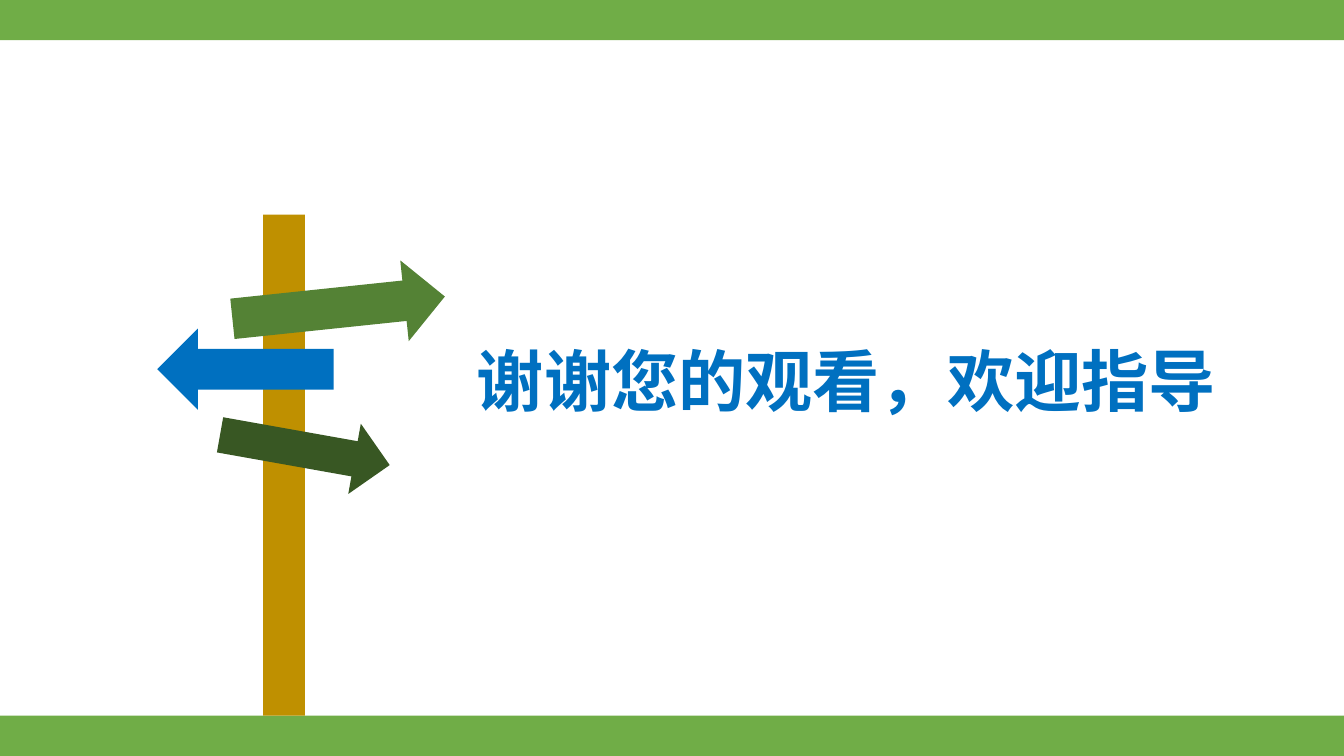
import pptx
import pptx.util
import pptx.dml.color
import pptx.enum.shapes
import pptx.enum.text
import lxml.etree

Pt = pptx.util.Pt
SHAPES = pptx.enum.shapes.MSO_SHAPE
FONT = "Noto Sans CJK SC"
COLOURS = {
    "band": "70AD47",
    "post": "BF9000",
    "upper sign": "548235",
    "blue": "0070C0",
    "lower sign": "385723",
}
WIDTH, HEIGHT, BAND = 960, 540, 28.8


def colour(name):
    return pptx.dml.color.RGBColor.from_string(COLOURS[name])


deck = pptx.Presentation()
deck.slide_width, deck.slide_height = Pt(WIDTH), Pt(HEIGHT)
page = deck.slides.add_slide(deck.slide_layouts[5])

# Green bands, post and signs: preset, colour, left, top, width, height, rotation
parts = [
    (SHAPES.RECTANGLE, "band", 0, 0, WIDTH, BAND, 0),
    (SHAPES.RECTANGLE, "band", 0, HEIGHT - BAND, WIDTH, BAND, 0),
    (SHAPES.RECTANGLE, "post", 187.9, 153.4, 30, 357.8, 0),
    (SHAPES.RIGHT_ARROW, "upper sign", 165.6, 190.8, 152.6, 58, 354),
    (SHAPES.RIGHT_ARROW, "blue", 112.3, 234.7, 126, 58, 180),
    (SHAPES.RIGHT_ARROW, "lower sign", 156.2, 295.9, 123.1, 51, 10.1),
]
for preset, name, left, top, width, height, rotation in parts:
    shape = page.shapes.add_shape(preset, Pt(left), Pt(top), Pt(width), Pt(height))
    shape.rotation = rotation
    shape.shadow.inherit = False
    shape.fill.solid()
    shape.fill.fore_color.rgb = colour(name)
    shape.line.fill.background()

# Closing message
title = page.shapes.title
place = {"left": 333.4, "top": 239, "width": 547.9, "height": 65.5}
for key, value in place.items():
    setattr(title, key, Pt(value))
frame = title.text_frame
frame_format = {
    "word_wrap": False,
    "auto_size": pptx.enum.text.MSO_AUTO_SIZE.SHAPE_TO_FIT_TEXT,
    "vertical_anchor": pptx.enum.text.MSO_ANCHOR.TOP,
}
for key, value in frame_format.items():
    setattr(frame, key, value)
para = frame.paragraphs[0]
para.alignment = pptx.enum.text.PP_ALIGN.LEFT
span = para.add_run()
span.text = "谢谢您的观看，欢迎指导"
for key, value in {"size": Pt(48), "bold": True, "name": FONT}.items():
    setattr(span.font, key, value)
span.font.color.rgb = colour("blue")

# East Asian typeface, placed right after the Latin one
latin = span.font._element.find(pptx.oxml.ns.qn("a:latin"))
east_asian = lxml.etree.Element(pptx.oxml.ns.qn("a:ea"), typeface=FONT)
latin.addnext(east_asian)

deck.save("out.pptx")
